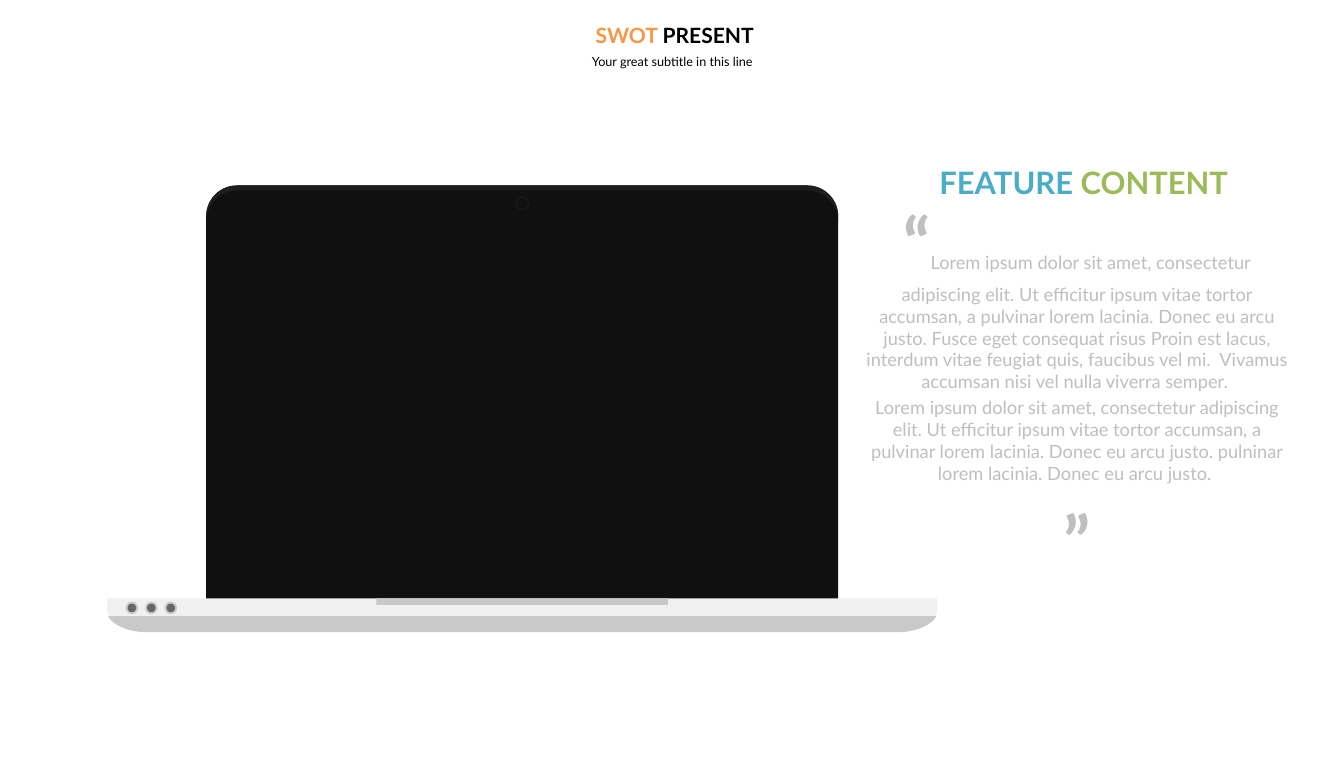
from lxml import etree
from pptx import Presentation
from pptx.dml.color import RGBColor
from pptx.enum.shapes import MSO_SHAPE
from pptx.enum.text import MSO_ANCHOR, MSO_AUTO_SIZE, PP_ALIGN
from pptx.oxml.ns import qn
from pptx.util import Inches, Pt

OVAL, RECT = MSO_SHAPE.OVAL, MSO_SHAPE.RECTANGLE
CENTER, TOP, NO_FIT = PP_ALIGN.CENTER, MSO_ANCHOR.TOP, MSO_AUTO_SIZE.NONE

BLACK = RGBColor(0x00, 0x00, 0x00)
SCREEN = RGBColor(0x10, 0x10, 0x10)
BEZEL = RGBColor(0x1E, 0x1E, 0x1E)
CASE = RGBColor(0xF0, 0xF0, 0xF0)
SHADE = RGBColor(0xC9, 0xC9, 0xC9)
PORT = RGBColor(0x67, 0x67, 0x67)
GRAY = RGBColor(0xBF, 0xBF, 0xBF)
ORANGE = RGBColor(0xF7, 0x96, 0x46)
BLUE = RGBColor(0x4B, 0xAC, 0xC6)
GREEN = RGBColor(0x9B, 0xBB, 0x59)

FONT = "Lato"
SLIDE_W, SLIDE_H = 26.6, 15

LOREM = "Lorem ipsum dolor sit amet, consectetur adipiscing elit. Ut efficitur ipsum vitae tortor accumsan, a pulvinar lorem lacinia. Donec eu arcu justo. "
QUOTE_1 = LOREM + ("Fusce eget consequat risus Proin est lacus, interdum vitae feugiat quis, "
                   "faucibus vel mi.  Vivamus accumsan nisi vel nulla viverra semper. ")
QUOTE_2 = LOREM + "pulninar lorem lacinia. Donec eu arcu justo. "


def paint(sp, color):
    sp.fill.solid()
    sp.fill.fore_color.rgb = color
    sp.line.fill.background()
    sp.shadow.inherit = False


def add_preset(shapes, kind, x, y, w, h, color):
    paint(shapes.add_shape(kind, Inches(x), Inches(y), Inches(w), Inches(h)), color)


def add_circle(shapes, cx, cy, d, color):
    add_preset(shapes, OVAL, cx - d / 2, cy - d / 2, d, d, color)


def corner(start, tip, end):
    """Four Bezier points that round off the corner at tip."""
    def toward_tip(point):
        return tuple(a + 0.55 * (b - a) for a, b in zip(point, tip))

    return [start, toward_tip(start), toward_tip(end), end]


def add_outline(shapes, parts, color):
    """A part of four points is a curve; any other part is straight."""
    points = [(Inches(x), Inches(y)) for part in parts for x, y in part]
    builder = shapes.build_freeform(*points[0])
    builder.add_line_segments(points[1:], close=True)
    sp = builder.convert_to_shape()
    lines = list(sp._element.iter(qn("a:lnTo")))
    i = 0
    for part in parts:
        if len(part) == 4:
            curve = etree.Element(qn("a:cubicBezTo"))
            lines[i].addprevious(curve)
            for line in lines[i:i + 3]:
                curve.append(line[0])
                line.getparent().remove(line)
        i += len(part)
    paint(sp, color)


def add_laptop(s):
    shapes = s.shapes.add_group_shape().shapes
    left, right, top, hinge, radius = 4.08, 16.59, 3.67, 11.84, 0.61
    mid = (left + right) / 2

    # Screen and the lighter rim along its top edge
    def lid_top(y):
        return [corner((left, y + radius), (left, y), (left + radius, y)),
                corner((right - radius, y), (right, y), (right, y + radius))]

    rim = [part[::-1] for part in lid_top(top + 0.1)[::-1]]
    add_outline(shapes, lid_top(top) + [[(right, 12.28), (left, 12.28)]], SCREEN)
    add_outline(shapes, lid_top(top) + rim, BEZEL)

    # Base and its shaded underside
    base_left, base_right, bottom = 2.12, 18.55, 12.51

    def base_bottom(y, inset, lean):
        """Rounded lower edge, with sides that start at y and lean inwards."""
        x1, x2 = base_left + inset, base_right - inset
        return [corner((x2, y), (x2 - lean, bottom), (base_right - 0.79, bottom)),
                corner((base_left + 0.79, bottom), (x1 + lean, bottom), (x1, y))]

    add_outline(shapes, [[(base_left, hinge), (base_right, hinge)]]
                + base_bottom(12.07, 0, 0), CASE)
    add_outline(shapes, base_bottom(12.19, 0.02, 0.13), SHADE)

    # Camera and opening notch
    add_circle(shapes, mid, 4.02, 0.27, BEZEL)
    add_circle(shapes, mid, 4.02, 0.23, SCREEN)
    add_preset(shapes, RECT, 7.45, hinge, 5.77, 0.13, SHADE)

    # Ports
    for i in range(3):
        cx = 2.61 + 0.385 * i
        add_circle(shapes, cx, 12.03, 0.25, SHADE)
        add_circle(shapes, cx, 12.03, 0.17, PORT)


def write(sp, paragraphs, inset):
    """Each paragraph is (space before, runs); a run is (text, size, colour, bold)."""
    tf = sp.text_frame
    frame = {"word_wrap": True, "auto_size": NO_FIT, "vertical_anchor": TOP,
             "margin_left": Inches(inset), "margin_right": Inches(inset),
             "margin_top": Inches(inset / 2), "margin_bottom": Inches(inset / 2)}
    for name, value in frame.items():
        setattr(tf, name, value)
    for i, (before, runs) in enumerate(paragraphs):
        p = tf.add_paragraph() if i else tf.paragraphs[0]
        p.alignment = CENTER
        if before:
            p.space_before = Pt(before)
        for text, size, color, bold in runs:
            r = p.add_run()
            r.text = text
            for name, value in {"name": FONT, "size": Pt(size), "bold": bold}.items():
                setattr(r.font, name, value)
            r.font.color.rgb = color


def add_text(s, x, y, w, h, paragraphs, inset=0.1):
    sp = s.shapes.add_textbox(Inches(x), Inches(y), Inches(w), Inches(h))
    write(sp, paragraphs, inset)


def add_title(s, x, y, w, h, runs):
    sp = s.shapes.title
    for name, value in {"left": x, "top": y, "width": w, "height": h}.items():
        setattr(sp, name, Inches(value))
    write(sp, [(0, runs)], 0.2)


def main():
    prs = Presentation()
    prs.slide_width, prs.slide_height = Inches(SLIDE_W), Inches(SLIDE_H)
    s = prs.slides.add_slide(prs.slide_layouts[5])

    # Heading
    add_title(s, 8.3, 0.34, 10.11, 0.71,
              [("SWOT ", 30, ORANGE, True), ("PRESENT", 30, BLACK, True)])
    add_text(s, 9.22, 0.95, 8.17, 0.55,
             [(0, [("Your great subtitle in this line", 18, BLACK, False)])], 0.24)

    add_laptop(s)

    # Quotation and its heading
    add_text(s, 16.81, 3.8, 9.02, 7.33, [
        (0, [("“", 100, GRAY, True), (QUOTE_1, 26, GRAY, False)]),
        (5.2, [(QUOTE_2, 26, GRAY, False)]),
        (20, [("”", 100, GRAY, True)]),
    ], 0.27)
    add_text(s, 18.05, 3.19, 6.8, 0.84,
             [(0, [("FEATURE ", 44, BLUE, True), ("CONTENT", 44, GREEN, True)])])

    prs.save("out.pptx")


if __name__ == "__main__":
    main()
